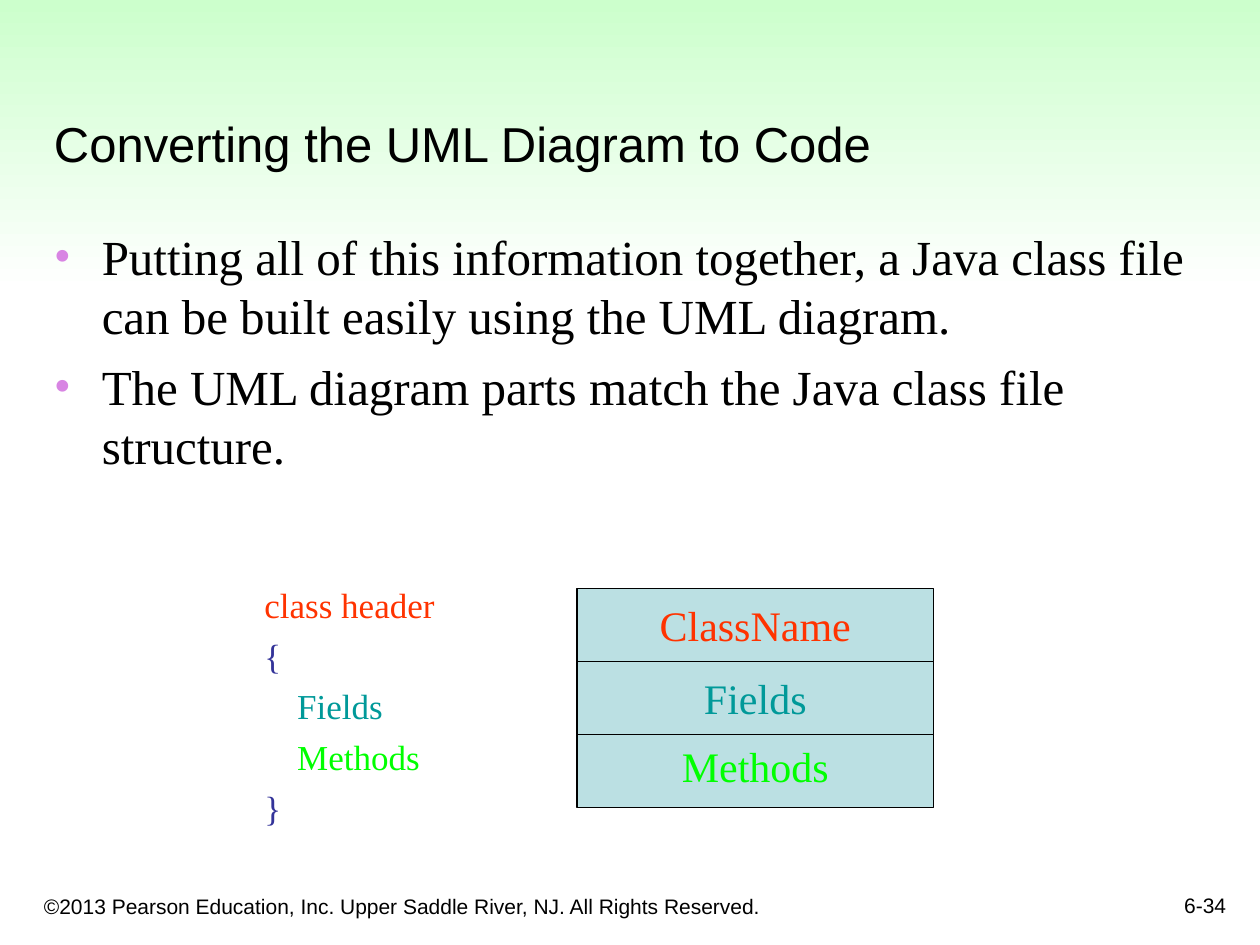
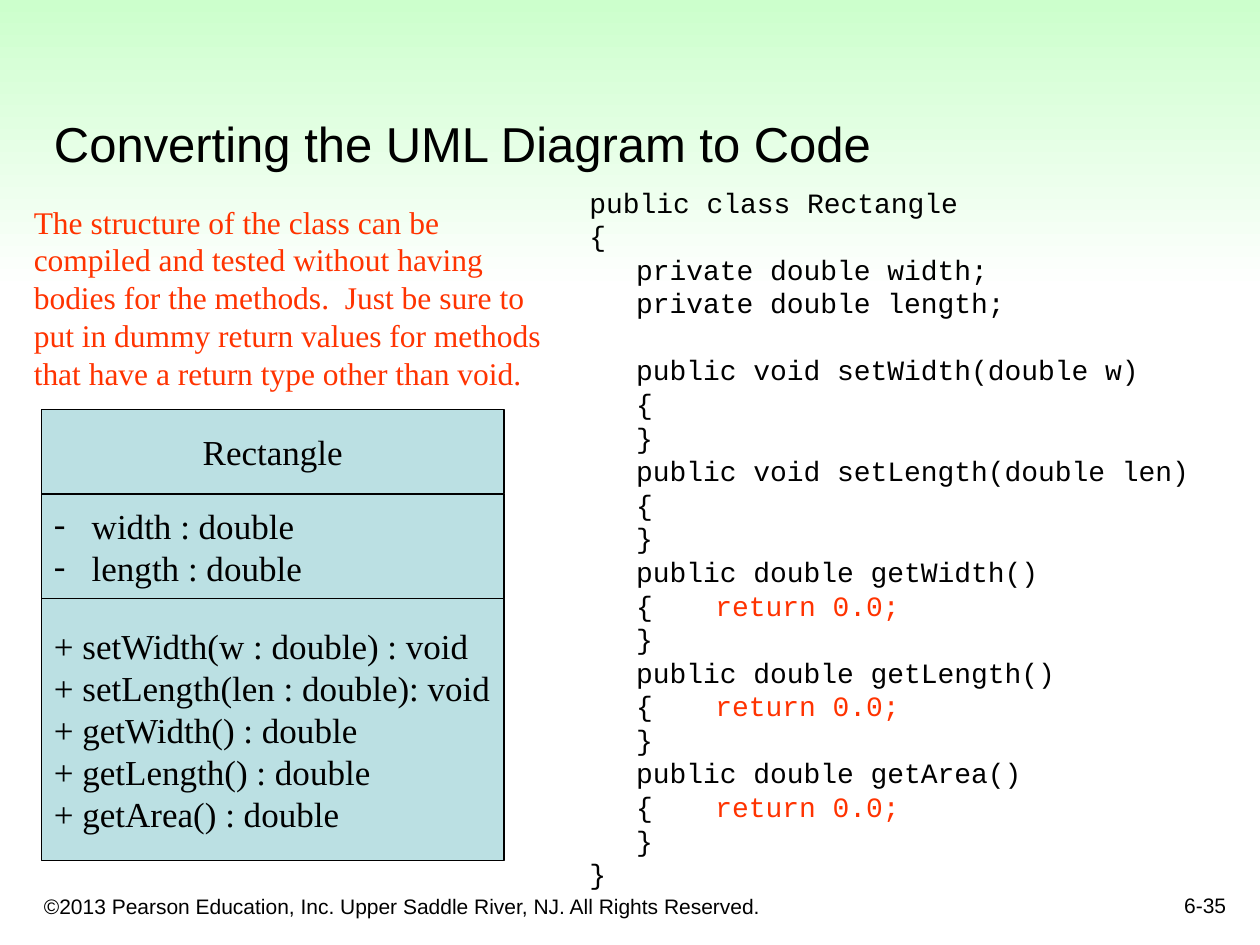
"""Build two slides that turn a UML class diagram into Java code."""
from lxml import etree
from pptx import Presentation, util as u
from pptx.dml import color
from pptx.enum import shapes, text
from pptx.oxml import ns

THEME = {
    "ink": "000000", "red": "FF3300", "teal": "009999", "green": "00FF00",
    "navy": "333399", "box": "BBE0E3", "dot": "D885E3",
    "mint": "CCFFCC", "white": "FFFFFF",
    "sans": "Arial", "serif": "Times New Roman", "mono": "Courier New",
    "title": 28, "body": 28, "name": 24, "list": 20, "note": 18,
    "code": 16, "foot": 12, "lead": 1.2,
}

TITLE = "Converting the UML Diagram to Code"
RIGHTS = "©2013 Pearson Education, Inc. Upper Saddle River, NJ. All Rights Reserved."
POINTS = [
    "Putting all of this information together, a Java class file can be built "
    "easily using the UML diagram.",
    "The UML diagram parts match the Java class file structure.",
]
PARTS = [("ClassName", "red"), ("Fields", "teal"), ("Methods", "green")]
OUTLINE = [
    [("class header", "red")],
    [("{", "navy")],
    [("\tFields", "teal")],
    [("\tMethods", "green")],
    [("}", "navy")],
]
NOTE = ("The structure of the class can be compiled and tested without having "
        "bodies for the methods.  Just be sure to put in dummy return values "
        "for methods that have a return type other than void.")
FIELDS = ["width : double", "length : double"]
METHODS = [
    "+ setWidth(w : double) : void",
    "+ setLength(len : double): void",
    "+ getWidth() : double",
    "+ getLength() : double",
    "+ getArea() : double",
]
HEAD = ["public class Rectangle", "{",
        "\tprivate double width;", "\tprivate double length;"]
SETS = ["setWidth(double w)", "setLength(double len)"]
GETS = ["getWidth()", "getLength()", "getArea()"]

TOP, MID, LOW = (text.MSO_ANCHOR.TOP, text.MSO_ANCHOR.MIDDLE,
                 text.MSO_ANCHOR.BOTTOM)
CENTER, RIGHT = text.PP_ALIGN.CENTER, text.PP_ALIGN.RIGHT


def rgb(key):
    return color.RGBColor.from_string(THEME[key])


def put(item, vals):
    for key, val in vals.items():
        setattr(item, key, val)


def add(node, tag, **vals):
    kid = etree.SubElement(node, ns.qn(tag))
    for key, val in vals.items():
        kid.set(key, str(val))
    return kid


def mark(para, bullet, tint, hang):
    props = para._p.get_or_add_pPr()
    props.set("marL", str(u.Inches(hang)))
    props.set("indent", str(-u.Inches(hang)))
    add(add(props, "a:buClr"), "a:srgbClr", val=THEME[tint])
    add(props, "a:buFont", typeface=THEME["serif"])
    add(props, "a:buChar", char=bullet)


def stops(para, tabs):
    node = add(para._p.get_or_add_pPr(), "a:tabLst")
    for tab in tabs:
        add(node, "a:tab", pos=u.Inches(tab), algn="l")


def write(shape, lines, size, font="serif", tint="ink", anchor=TOP, align=None,
          gap=0, gaps=None, bullet=None, tabs=(), right=0.1):
    frame = shape.text_frame
    put(frame, {"word_wrap": True, "vertical_anchor": anchor,
                "margin_left": u.Inches(0.1), "margin_right": u.Inches(right),
                "margin_top": u.Inches(0.05), "margin_bottom": u.Inches(0.05)})
    for num, line in enumerate(lines):
        para = frame.add_paragraph() if num else frame.paragraphs[0]
        if bullet:
            mark(para, *bullet)
        if tabs:
            stops(para, tabs)
        before = (gaps or {}).get(num, gap) if num else 0
        put(para, {"alignment": align or text.PP_ALIGN.LEFT,
                   "line_spacing": u.Pt(THEME[size] * THEME["lead"]),
                   "space_before": u.Pt(before), "space_after": u.Pt(0)})
        for words, hue in [(line, tint)] if isinstance(line, str) else line:
            run = para.add_run()
            run.text = words
            put(run.font, {"name": THEME[font], "size": u.Pt(THEME[size])})
            run.font.color.rgb = rgb(hue)


def label(slide, place, lines, size, **style):
    write(slide.shapes.add_textbox(*map(u.Inches, place)), lines, size, **style)


def block(slide, place):
    shape = slide.shapes.add_shape(shapes.MSO_SHAPE.RECTANGLE,
                                   *map(u.Inches, place))
    shape.shadow.inherit = False
    return shape


def stack(slide, left, top, width, cells):
    for high, lines, size, style in cells:
        shape = block(slide, (left, top, width, high))
        shape.fill.solid()
        shape.fill.fore_color.rgb = rgb("box")
        shape.line.color.rgb = rgb("ink")
        shape.line.width = u.Pt(0.75)
        write(shape, lines, size, **style)
        top += high


def base(deck, page):
    slide = deck.slides.add_slide(deck.slide_layouts[6])
    band = block(slide, (0, 0, 10, 2.32))
    band.line.fill.background()
    band.fill.gradient()
    band.fill.gradient_angle = 270
    for stop, key, spot in zip(band.fill.gradient_stops, ("mint", "white"), (0, 1)):
        stop.color.rgb = rgb(key)
        stop.position = spot
    for place, words, size, align in (
            ((0.25, 6.92, 6.08, 0.42), RIGHTS, "foot", None),
            ((7.75, 6.83, 2.08, 0.5), page, "foot", RIGHT),
            ((0.33, 0.33, 9.42, 1.09), TITLE, "title", None)):
        label(slide, place, [words], size, font="sans", anchor=LOW, align=align)
    return slide


def match(deck):
    slide = base(deck, "6-34")
    label(slide, (0.33, 1.75, 9.07, 2.98), POINTS, "body", gap=7,
          bullet=("•", "dot", 0.38), right=0)
    cells = [(0.58, [name], "name",
              {"tint": tint, "align": CENTER,
               "anchor": TOP if name == "Methods" else MID})
             for name, tint in PARTS]
    stack(slide, 4.58, 4.67, 2.83, cells)
    label(slide, (2, 4.58, 1.55, 2.05), OUTLINE, "list", gap=5, tabs=(0.26, 1))


def stub(deck):
    slide = base(deck, "6-35")
    stack(slide, 0.33, 3.25, 3.67, [
        (0.67, ["Rectangle"], "list", {"anchor": MID, "align": CENTER}),
        (0.83, FIELDS, "list", {"anchor": MID, "bullet": ("-", "ink", 0.3)}),
        (2.08, METHODS, "list", {"anchor": MID, "right": 0}),
    ])
    code = list(HEAD)
    for name in SETS:
        code += ["\tpublic void " + name, "\t{", "\t}"]
    for name in GETS:
        code += ["\tpublic double " + name,
                 [("\t{\t", "ink"), ("return 0.0;", "red")], "\t}"]
    code.append("}")
    label(slide, (4.58, 1.42, 5.25, 5.97), code, "code", font="mono",
          tabs=(0.37, 1), gaps={len(HEAD): THEME["code"] * THEME["lead"]})
    label(slide, (0.17, 1.56, 4.36, 1.6), [NOTE], "note", tint="red")


def main():
    deck = Presentation()
    put(deck, {"slide_width": u.Inches(10), "slide_height": u.Inches(7.5)})
    match(deck)
    stub(deck)
    deck.save("out.pptx")


if __name__ == "__main__":
    main()
